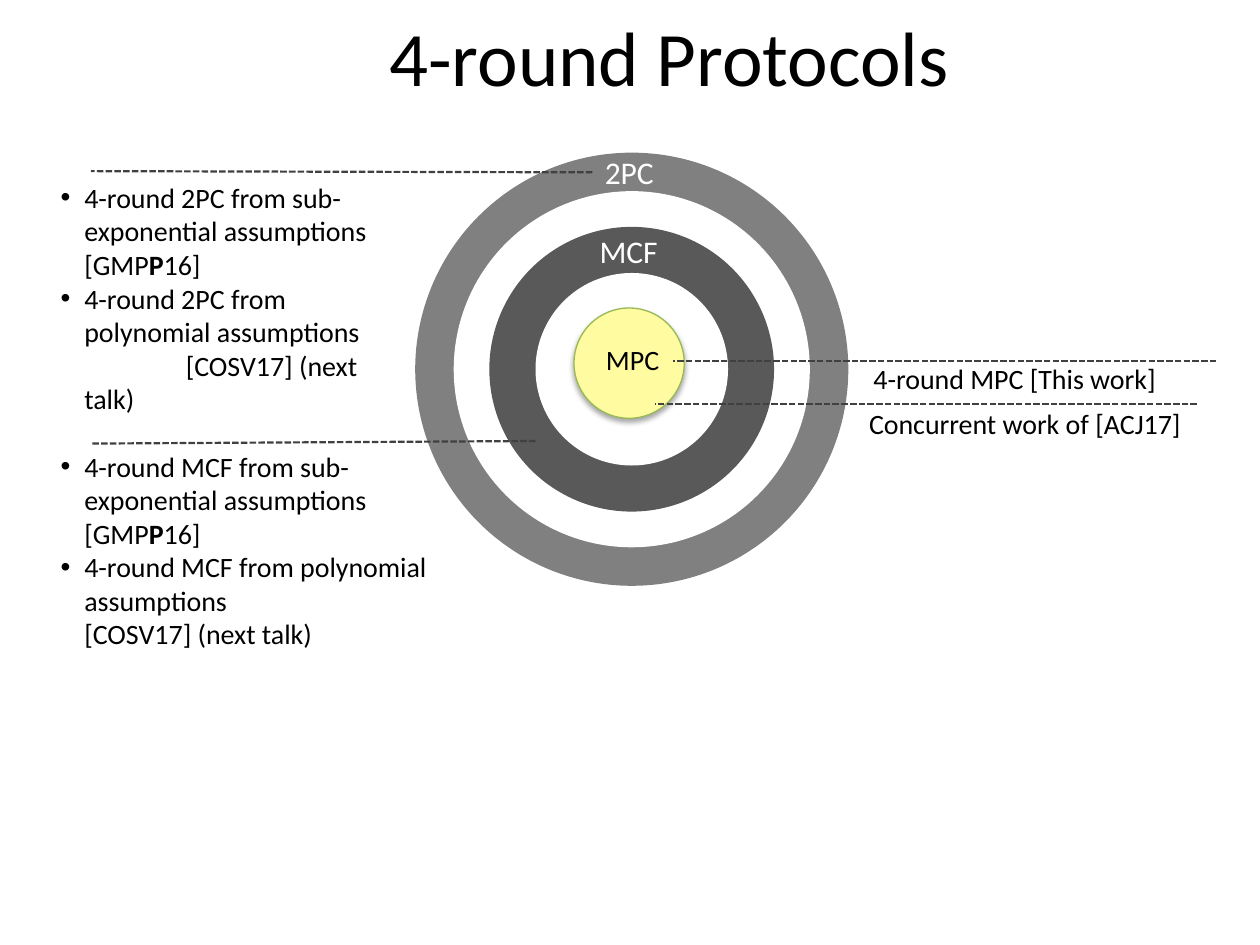
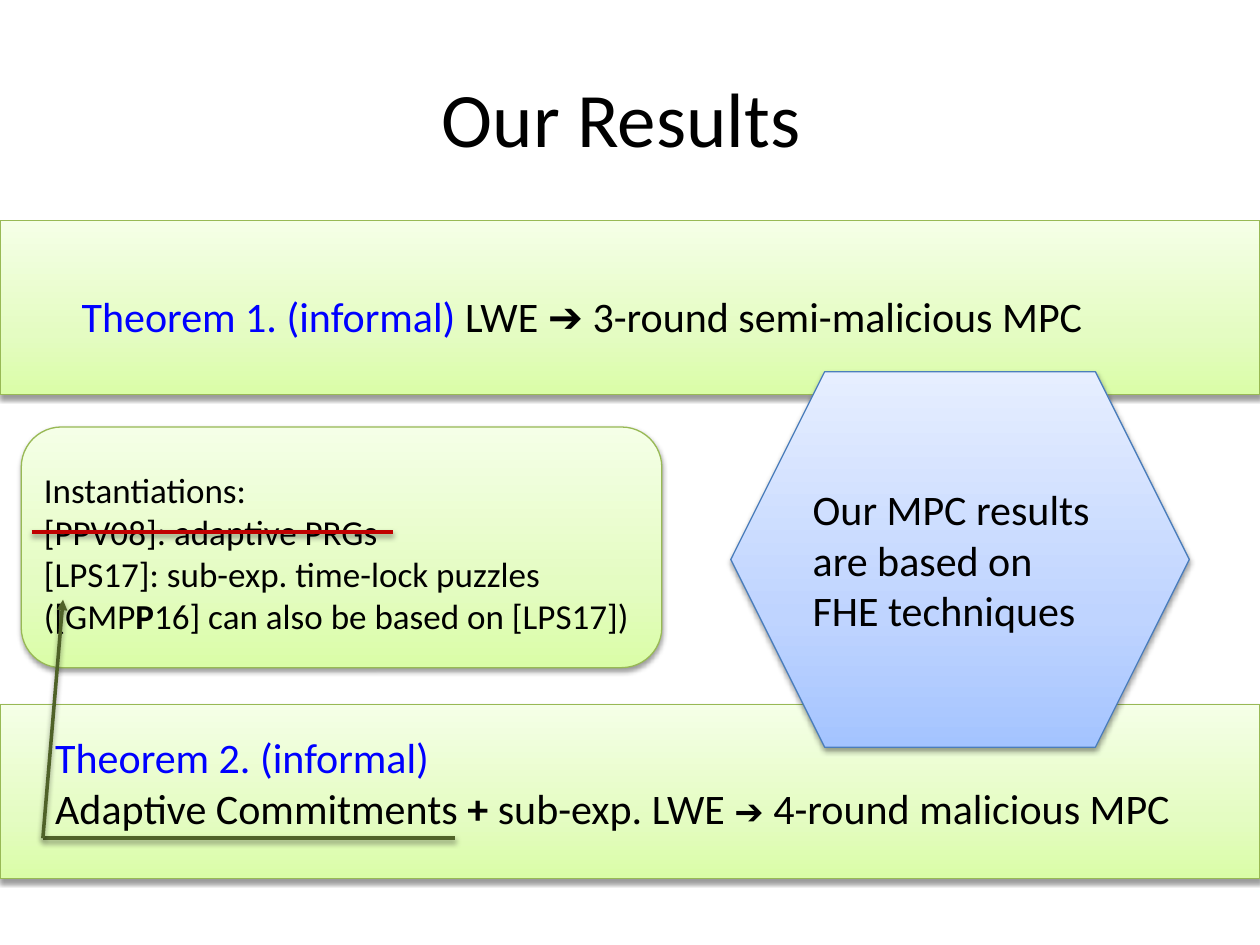
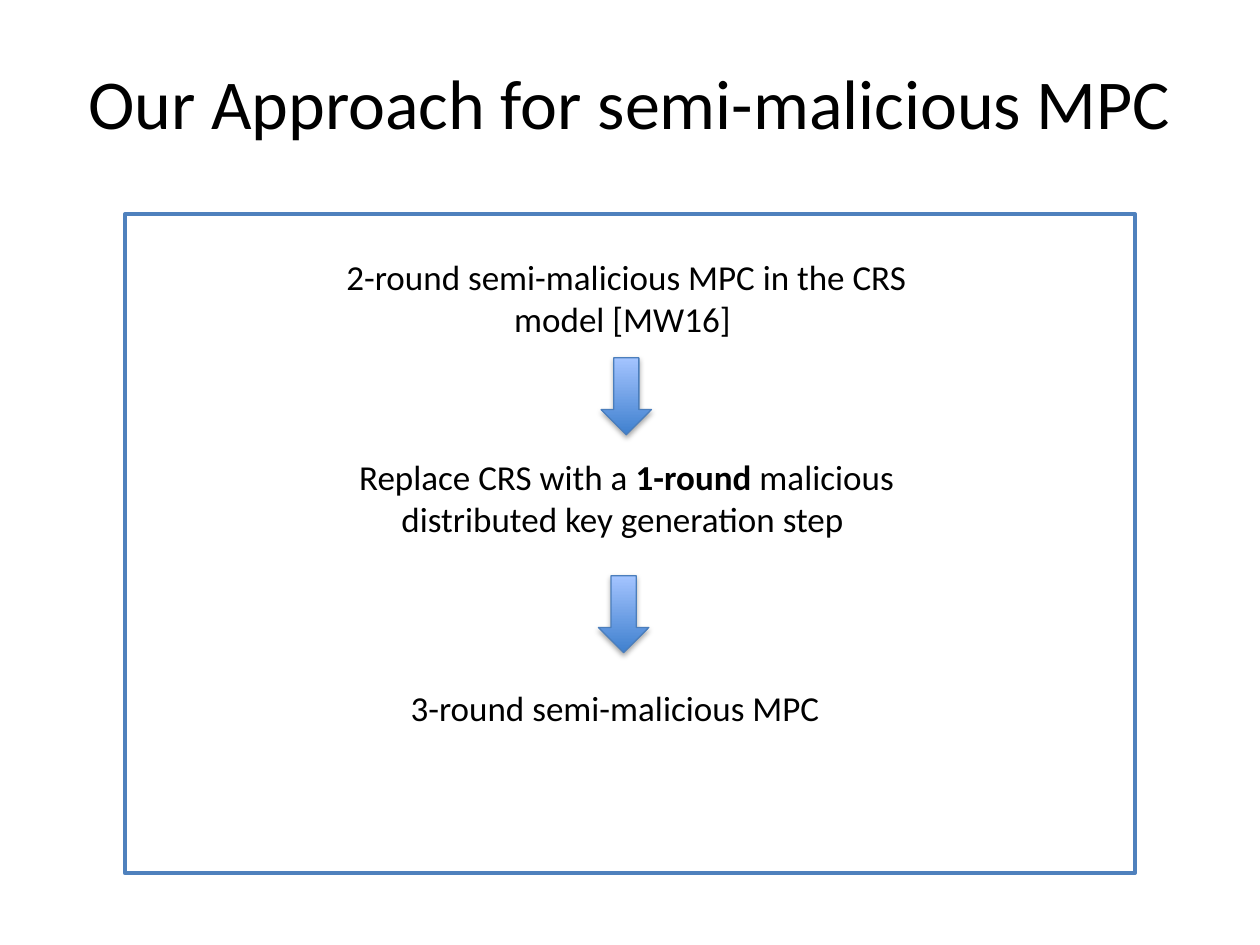
from lxml.etree import SubElement
from pptx import Presentation
from pptx.dml.color import RGBColor
from pptx.enum.dml import MSO_LINE
from pptx.enum.shapes import MSO_CONNECTOR, MSO_SHAPE
from pptx.enum.text import MSO_ANCHOR, MSO_AUTO_SIZE, PP_ALIGN
from pptx.oxml.ns import qn
from pptx.util import Pt

RECTANGLE = MSO_SHAPE.RECTANGLE
ROUNDED = MSO_SHAPE.ROUNDED_RECTANGLE
ELLIPSE = MSO_SHAPE.OVAL
HEXAGON = MSO_SHAPE.HEXAGON
DOWN_ARROW = MSO_SHAPE.DOWN_ARROW
STRAIGHT = MSO_CONNECTOR.STRAIGHT
DASHED = MSO_LINE.SQUARE_DOT
LEFT, CENTER, JUSTIFY = PP_ALIGN.LEFT, PP_ALIGN.CENTER, PP_ALIGN.JUSTIFY
TOP, MIDDLE = MSO_ANCHOR.TOP, MSO_ANCHOR.MIDDLE
NO_AUTOFIT = MSO_AUTO_SIZE.NONE

TWO_LISTS, ONE_LIST, TITLE_ONLY = 3, 1, 5

BLACK, WHITE, BLUE = "000000", "FFFFFF", "0000FF"
OUTER_GRAY, INNER_GRAY, DASH_GRAY = "808080", "595959", "404040"
YELLOW, GREEN_LINE, BLUE_LINE = "FFFBA1", "98B955", "4B7EBC"
FRAME_BLUE, STRIKE_RED, ARROW_GREEN = "4F81BD", "C00000", "4F6228"
GREEN_GRADIENT = [(0, "DAFDA7"), (35, "E4FCC2"), (100, "F5FFE7")]
BLUE_GRADIENT = [(0, "A4C4FF"), (35, "BFD4FF"), (100, "E6EEFF")]
ARROW_GRADIENT = [(0, "3F80CE"), (100, "A4C4FF")]

SOFT_SHADOW, STRONG_SHADOW = (35, 1.8), (38, 1.6)
BULLETED, CONTINUED, OFFSET, FLUSH = (13.5, -13.5), (13.5, 0), (13.5, 58), (0, 0)

BOLD = {"bold": True}
BLUE_TEXT = {"color": BLUE}


def rgb(color):
    """Turn a hex string into a colour."""
    return RGBColor.from_string(color)


def points(values):
    """Turn numbers into lengths in points."""
    return [Pt(value) for value in values]


def add_shadow(effects, opacity, distance):
    """Add a downward black shadow to an effect list."""
    shadow = SubElement(effects, qn("a:outerShdw"), blurRad=str(Pt(3.1)),
                        dist=str(Pt(distance)), dir="5400000", rotWithShape="0")
    color = SubElement(shadow, qn("a:srgbClr"), val=BLACK)
    SubElement(color, qn("a:alpha"), val=str(opacity * 1000))


class Deck:
    """Holds the shared style and the current slide."""

    font = "Calibri"
    symbol_font = "Arial"

    def __init__(self):
        """Start an empty 4:3 presentation."""
        self.presentation = Presentation()
        self.presentation.slide_width = Pt(720)
        self.presentation.slide_height = Pt(540)
        self.slide = None

    def new_slide(self, layout):
        """Add a slide and make it current."""
        layouts = self.presentation.slide_layouts
        self.slide = self.presentation.slides.add_slide(layouts[layout])

    def fill_text(self, shape, paragraphs, size, align=LEFT, anchor=TOP, color=BLACK, wrap=True):
        """Fill a shape with paragraphs, each a string or a list of (text, format) runs."""
        frame = shape.text_frame
        frame.word_wrap = wrap
        frame.auto_size = NO_AUTOFIT
        frame.vertical_anchor = anchor
        for index, runs in enumerate(paragraphs):
            paragraph = frame.add_paragraph() if index else frame.paragraphs[0]
            paragraph.alignment = align
            for text, style in [(runs, {})] if isinstance(runs, str) else runs:
                run = paragraph.add_run()
                run.text = text
                run.font.name = style.get("font", self.font)
                run.font.size = Pt(style.get("size", size))
                run.font.bold = style.get("bold", False)
                run.font.color.rgb = rgb(style.get("color", color))

    def place(self, placeholder, box):
        """Move a placeholder to a box, in front of what is drawn so far."""
        placeholder.left, placeholder.top, placeholder.width, placeholder.height = points(box)
        self.slide.shapes._spTree.append(placeholder._element)

    def title(self, text, box, size=44, align=CENTER):
        """Fill the title placeholder."""
        title = self.slide.shapes.title
        self.place(title, box)
        self.fill_text(title, [text], size, align, MIDDLE)

    def body(self, index, items, box, size, align=LEFT, space=0):
        """Fill a body placeholder with (indent, runs) items."""
        body = self.slide.placeholders[index]
        self.place(body, box)
        self.fill_text(body, [runs for _, runs in items], size, align)
        for paragraph, ((margin, indent), _) in zip(body.text_frame.paragraphs, items):
            paragraph.space_before = Pt(space)
            properties = paragraph._p.get_or_add_pPr()
            properties.set("marL", str(Pt(margin)))
            properties.set("indent", str(Pt(indent)))
            if indent >= 0:
                SubElement(properties, qn("a:buNone"))

    def text(self, paragraphs, box, size, **style):
        """Add a text box."""
        self.fill_text(self.slide.shapes.add_textbox(*points(box)), paragraphs, size, **style)

    def shape(self, kind, box, fill, line=None, width=0.75, shadow=None):
        """Add a preset shape with a plain or gradient fill."""
        shape = self.slide.shapes.add_shape(kind, *points(box))
        if isinstance(fill, str):
            shape.fill.solid()
            shape.fill.fore_color.rgb = rgb(fill)
        else:
            self.gradient(shape, fill)
        if line:
            shape.line.color.rgb = rgb(line)
            shape.line.width = Pt(width)
        else:
            shape.line.fill.background()
        shape.shadow.inherit = False
        if shadow:
            add_shadow(shape._element.spPr.find(qn("a:effectLst")), *shadow)
        return shape

    def gradient(self, shape, stops):
        """Fill a shape with a gradient rising from the bottom."""
        shape.fill.gradient()
        shape.fill.gradient_angle = 90
        stop_list = shape._element.spPr.find(".//" + qn("a:gsLst"))
        stop_list.clear()
        for position, color in stops:
            stop = SubElement(stop_list, qn("a:gs"), pos=str(position * 1000))
            SubElement(stop, qn("a:srgbClr"), val=color)

    def circle(self, center, diameter, fill, **style):
        """Add a circle around a centre."""
        left, top = (value - diameter / 2 for value in center)
        self.shape(ELLIPSE, (left, top, diameter, diameter), fill, **style)

    def line(self, start, end, color, width, dash=None, arrow=False, shadow=None):
        """Add a straight connector."""
        connector = self.slide.shapes.add_connector(STRAIGHT, *points(start + end))
        connector.line.color.rgb = rgb(color)
        connector.line.width = Pt(width)
        if dash:
            connector.line.dash_style = dash
        properties = connector._element.spPr
        if arrow:
            SubElement(properties.find(qn("a:ln")), qn("a:tailEnd"), type="triangle")
        effects = SubElement(properties, qn("a:effectLst"))
        if shadow:
            add_shadow(effects, *shadow)


def protocols_slide(deck):
    """Build the rings of four-round protocols."""
    deck.new_slide(TWO_LISTS)
    deck.title("4-round Protocols ", (134.5, 13, 506, 38))

    rings = [(247.5, OUTER_GRAY), (203.5, WHITE), (162.7, INNER_GRAY), (110, WHITE)]
    for diameter, color in rings:
        deck.circle((361, 211), diameter, color)
    deck.circle((359.5, 207.5), 63, YELLOW, line=GREEN_LINE, shadow=SOFT_SHADOW)

    leaders = [((338.5, 98.5), (52, 97.8)), ((306, 252), (52, 253.5)),
               ((684, 231), (374.5, 231)), ((695, 206.5), (384.5, 206.5))]
    for start, end in leaders:
        deck.line(start, end, DASH_GRAY, 1.25, dash=DASHED)

    citation = [("P", BOLD), ("16]", {})]
    deck.body(1, [
        (BULLETED, [("4-round 2PC from sub-exponential assumptions [GMP", {})] + citation),
        (BULLETED, "4-round 2PC from polynomial assumptions"),
        (OFFSET, "[COSV17] (next talk)"),
    ], (27.5, 99.5, 210, 107), 16)
    deck.body(2, [
        (BULLETED, "4-round MCF from sub-exponential assumptions"),
        (CONTINUED, [("[GMP", {})] + citation),
        (BULLETED, "4-round MCF from polynomial assumptions"),
        (CONTINUED, "[COSV17] (next talk)"),
    ], (27.5, 253, 225.5, 107), 16)

    deck.text(["4-round MPC [This work]"], (492, 203, 190, 107), 16)
    deck.text(["Concurrent work of [ACJ17]"], (489.5, 229, 195, 26.5), 16, wrap=False)
    deck.text(["MPC"], (181.5, 192, 360, 26.5), 16, align=CENTER)
    deck.text(["MCF"], (335.5, 129, 48, 29), 18, color=WHITE, wrap=False)
    deck.text(["2PC"], (338.5, 84, 42.5, 29), 18, color=WHITE, wrap=False)


def results_slide(deck):
    """Build the two theorems and their instantiations."""
    deck.new_slide(ONE_LIST)
    green = {"fill": GREEN_GRADIENT, "line": GREEN_LINE, "shadow": STRONG_SHADOW}
    arrow = {"font": deck.symbol_font, "bold": True}
    for top in (126, 402.5):
        deck.shape(RECTANGLE, (0, top, 720, 99.5), **green)
    deck.title("Our Results ", (36, 21.5, 648, 90))
    deck.body(1, [(FLUSH, [
        ("Theorem 1. (informal) ", BLUE_TEXT), ("LWE ", {}), ("➔", arrow),
        (" 3-round semi-malicious MPC", {}),
    ])], (39.5, 162.5, 663, 50), 24, JUSTIFY, space=4.8)

    deck.shape(ROUNDED, (12.2, 244, 366, 137.5), **green)
    deck.text([
        "Instantiations: ",
        "[PPV08]: adaptive PRGs",
        "[LPS17]: sub-exp. time-lock puzzles",
        [("([GMP", {}), ("P", BOLD), ("16] can also be based on [LPS17])", {})],
    ], (18, 264, 360, 104.5), 20, align=JUSTIFY)
    deck.text([
        [("Theorem 2. (informal)", BLUE_TEXT)],
        [("Adaptive Commitments ", {}), ("+", BOLD), (" sub-exp. LWE ", {}),
         ("➔", {**arrow, "size": 20}), (" 4-round malicious MPC", {})],
    ], (24.5, 414.7, 679, 65.5), 24, align=JUSTIFY)

    hexagon = deck.shape(HEXAGON, (417.6, 212.4, 262, 214.6), BLUE_GRADIENT,
                         BLUE_LINE, shadow=STRONG_SHADOW)
    deck.fill_text(hexagon, ["Our MPC results are based on FHE techniques"], 24, anchor=MIDDLE)

    corner = (24.5, 479)
    deck.line((18, 304), (224.5, 304), STRIKE_RED, 2.25, shadow=STRONG_SHADOW)
    deck.line(corner, (260, 479), ARROW_GREEN, 2, shadow=STRONG_SHADOW)
    deck.line(corner, (36, 342.7), ARROW_GREEN, 2, arrow=True, shadow=STRONG_SHADOW)


def approach_slide(deck):
    """Build the three steps of the approach."""
    deck.new_slide(TITLE_ONLY)
    deck.shape(RECTANGLE, (71.3, 122.4, 577.4, 376.6), WHITE, FRAME_BLUE, 2)
    deck.title("Our Approach for semi-malicious MPC", (43.2, 30.2, 657.4, 55.4), 40, LEFT)

    for left, top in [(343.5, 204.5), (342, 329)]:
        deck.shape(DOWN_ARROW, (left, top, 28.8, 44), ARROW_GRADIENT,
                   BLUE_LINE, shadow=SOFT_SHADOW)

    steps = [
        (176.5, 142.5, "2-round semi-malicious MPC in the CRS model [MW16] "),
        (176.5, 257, [("Replace CRS with a ", {}), ("1-round", BOLD),
                      (" malicious distributed key generation step ", {})]),
        (170, 389, "3-round semi-malicious MPC"),
    ]
    for left, top, step in steps:
        deck.text([step], (left, top, 363, 55.5), 20, align=CENTER)


def main():
    """Build and save the presentation."""
    deck = Deck()
    protocols_slide(deck)
    results_slide(deck)
    approach_slide(deck)
    deck.presentation.save("out.pptx")


if __name__ == "__main__":
    main()
